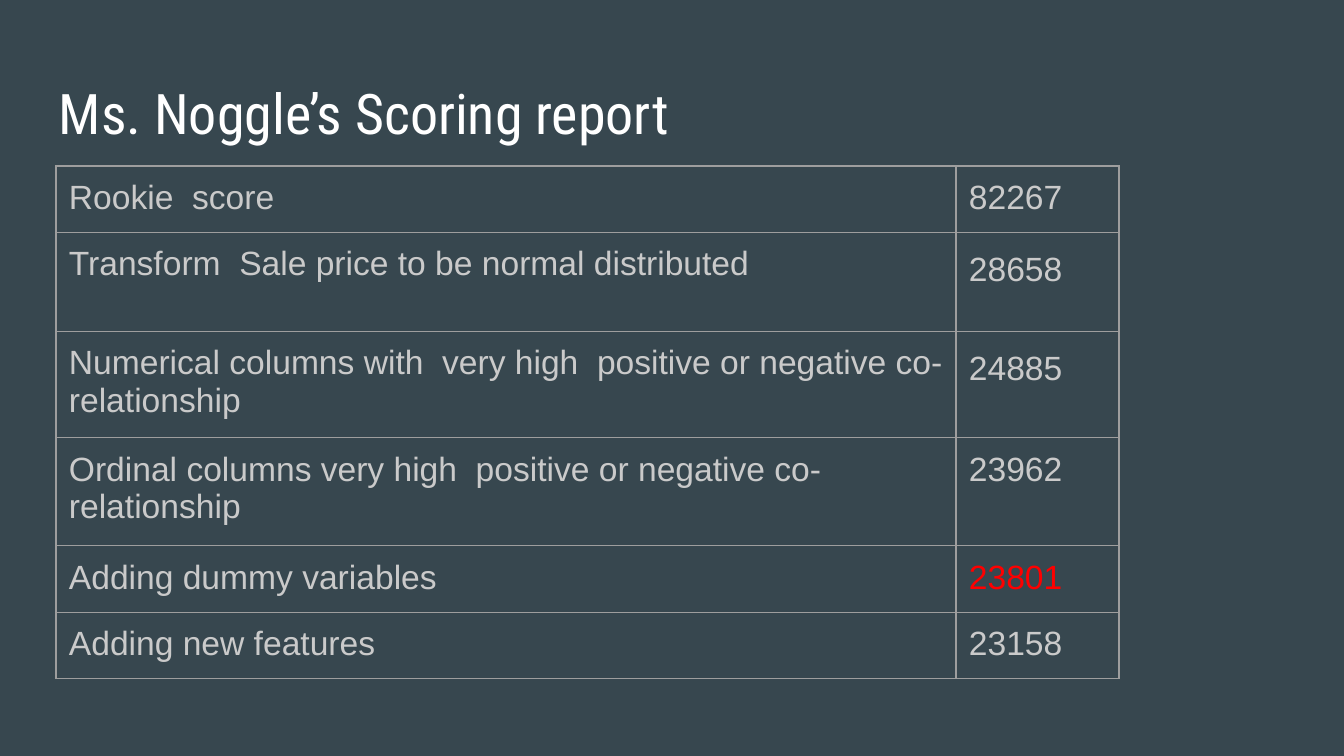
from lxml.etree import SubElement
from pptx import Presentation
from pptx.dml.color import RGBColor
from pptx.enum.text import MSO_ANCHOR
from pptx.oxml.ns import qn
from pptx.util import Pt

PX = 914400 / 134.4
SLATE = RGBColor(0x37, 0x47, 0x4F)
WHITE = RGBColor(0xFF, 0xFF, 0xFF)
LIGHT_GRAY = RGBColor(0xCA, 0xCA, 0xCA)
BORDER_GRAY = RGBColor(0x9E, 0x9E, 0x9E)
RED = RGBColor(0xFF, 0x00, 0x00)


def px(length):
    return round(length * PX)


class ReportSlide:
    title_font = "Roboto Condensed"
    body_font = "Arial"
    inset = px(13)

    def __init__(self, presentation):
        self.slide = presentation.slides.add_slide(presentation.slide_layouts[6])
        background = self.slide.background.fill
        background.solid()
        background.fore_color.rgb = SLATE

    def style(self, paragraph, font, size, color):
        for run in paragraph.runs:
            run.font.name = font
            run.font.size = Pt(size)
            run.font.color.rgb = color

    def set_insets(self, holder):
        holder.margin_left = holder.margin_right = self.inset
        holder.margin_top = holder.margin_bottom = self.inset

    def title(self, text, left, top, width, height):
        frame = self.slide.shapes.add_textbox(
            px(left), px(top), px(width), px(height)).text_frame
        frame.word_wrap = True
        frame.vertical_anchor = MSO_ANCHOR.TOP
        self.set_insets(frame)
        frame.text = text
        self.style(frame.paragraphs[0], self.title_font, 30, WHITE)

    def border(self, cell):
        properties = cell._tc.get_or_add_tcPr()
        for position, side in enumerate(("a:lnL", "a:lnR", "a:lnT", "a:lnB")):
            line = properties.makeelement(qn(side), {"w": str(Pt(0.75))})
            fill = SubElement(line, qn("a:solidFill"))
            SubElement(fill, qn("a:srgbClr"), val=str(BORDER_GRAY))
            properties.insert(position, line)

    def cell(self, cell, text, color, spacing):
        cell.fill.background()
        self.set_insets(cell)
        self.border(cell)
        paragraph = cell.text_frame.paragraphs[0]
        paragraph.text = text
        paragraph.line_spacing = spacing
        self.style(paragraph, self.body_font, 18, color)

    def table(self, rows, left, top, widths, heights):
        table = self.slide.shapes.add_table(
            len(rows), len(widths), px(left), px(top),
            px(sum(widths)), px(sum(heights))).table
        table.first_row = table.horz_banding = False
        for column, width in zip(table.columns, widths):
            column.width = px(width)
        for row, height, (step, score, color, spacing) in zip(table.rows, heights, rows):
            row.height = px(height)
            self.cell(row.cells[0], step, LIGHT_GRAY, 1.0)
            self.cell(row.cells[1], score, color, spacing)


def main():
    presentation = Presentation()
    presentation.slide_width = px(1344)
    presentation.slide_height = px(756)
    report = ReportSlide(presentation)
    report.title("Ms. Noggle’s Scoring report", 46, 66, 1253, 85)
    scores = [
        ("Rookie  score", "82267", LIGHT_GRAY, 1.0),
        ("Transform  Sale price to be normal distributed", "28658", LIGHT_GRAY, 1.15),
        ("Numerical columns with  very high  positive or negative co-relationship",
         "24885", LIGHT_GRAY, 1.15),
        ("Ordinal columns very high  positive or negative co-relationship",
         "23962", LIGHT_GRAY, 1.0),
        ("Adding dummy variables", "23801", RED, 1.0),
        ("Adding new features", "23158", LIGHT_GRAY, 1.0),
    ]
    report.table(scores, 56, 166, [900, 163], [65, 99, 102, 108, 64, 65])
    presentation.save("out.pptx")


if __name__ == "__main__":
    main()
